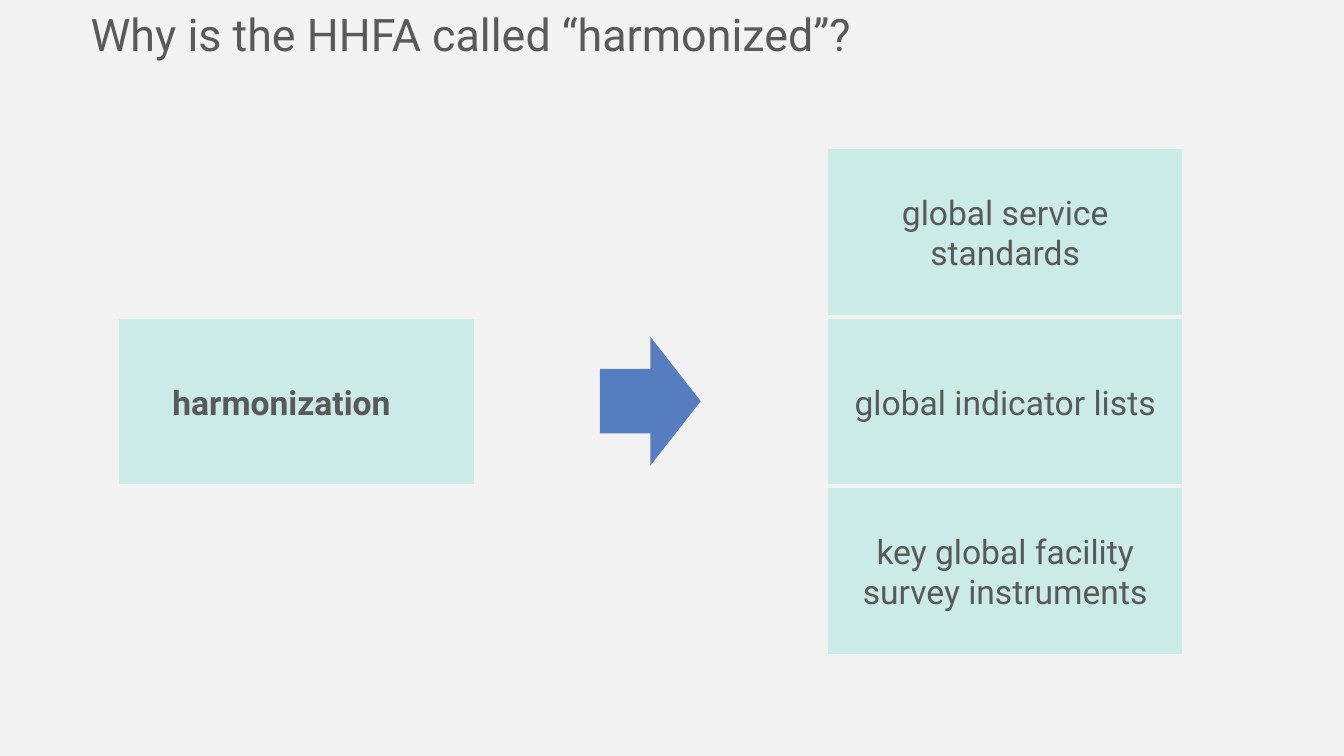
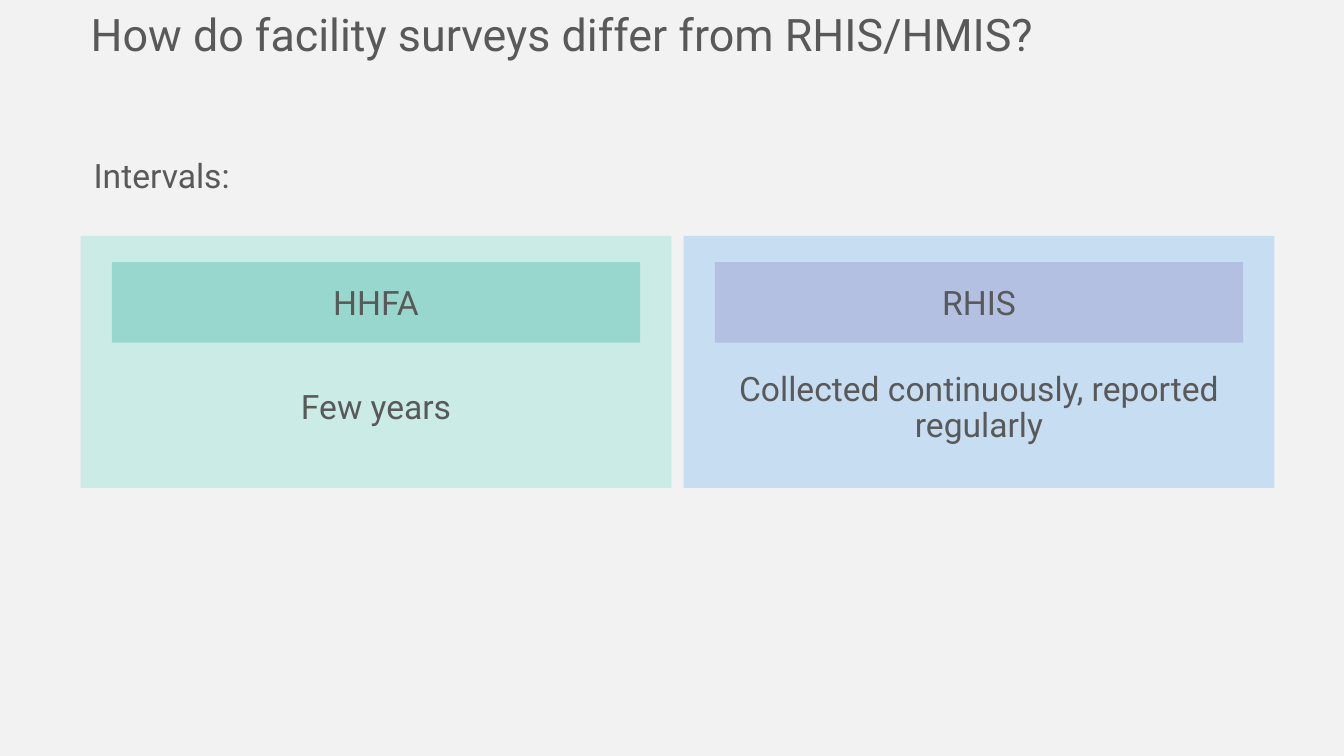
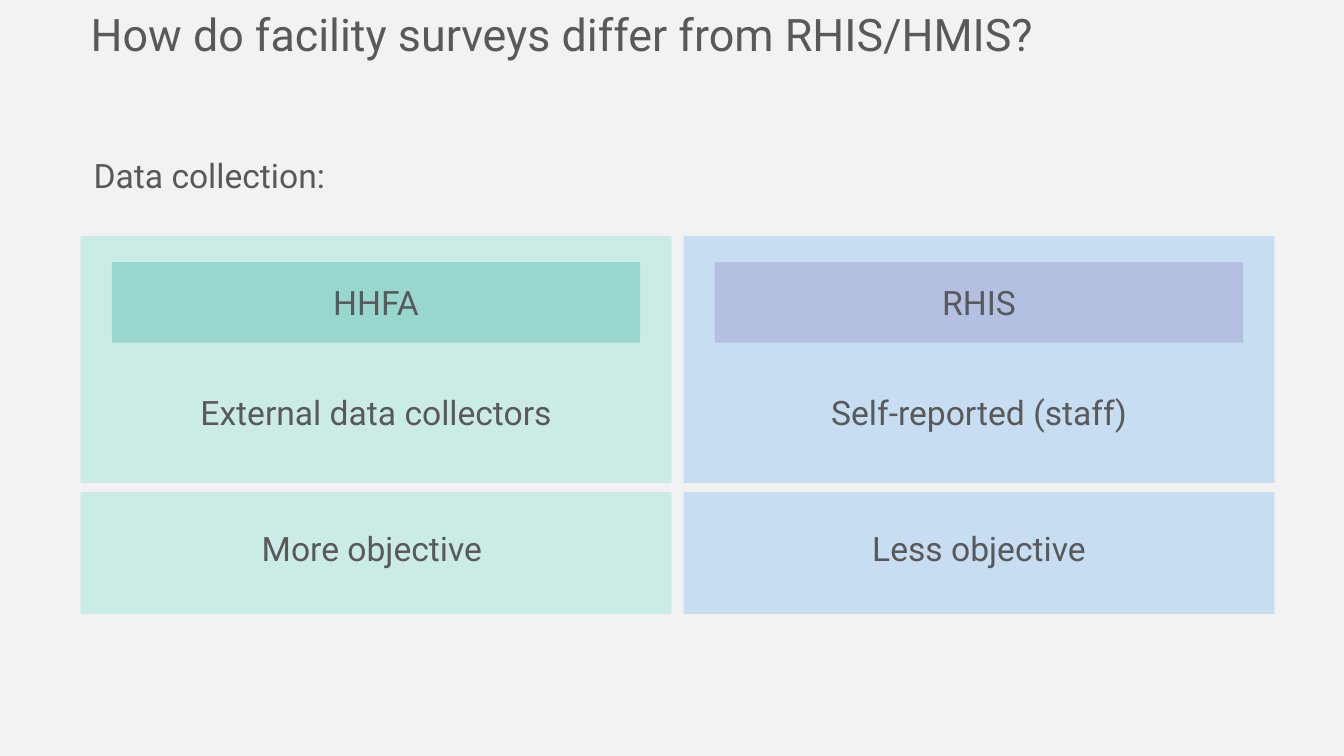
"""Build three slides on the HHFA and how facility surveys differ from RHIS."""
from pptx import Presentation
from pptx.dml.color import RGBColor
from pptx.enum.shapes import MSO_SHAPE
from pptx.enum.text import MSO_ANCHOR, MSO_AUTO_SIZE, PP_ALIGN
from pptx.util import Inches, Pt

FONT = "Roboto"
TEXT, BACKGROUND, ARROW = "595959", "F2F2F2", "557DBF"
MINT, TEAL, SKY, LILAC = "CBEBE6", "98D7CE", "C7DDF1", "B3C0E2"

INSTRUMENTS = ["global service standards", "global indicator lists",
               "key global facility survey instruments"]
BLOCK_WIDTH, BLOCK_HEIGHT, BLOCK_STEP = 3.5, 1.63, 1.68
BLOCK_TOP = 1.49

COLUMNS = [("HHFA", MINT, TEAL), ("RHIS", SKY, LILAC)]
COLUMN_LEFT, COLUMN_STEP, CARD_WIDTH, CARD_TOP = 0.8, 5.98, 5.86, 2.34
HEADER_WIDTH, LABEL_WIDTH = 5.24, 3.98

COMPARISON_TITLE = "How do facility surveys differ from RHIS/HMIS?"


def colour(value):
    return RGBColor.from_string(value)


def write(shape, text, size=24, align=PP_ALIGN.CENTER, anchor=MSO_ANCHOR.MIDDLE,
          bold=False, spacing=None, left=0.1, top=0.05):
    frame = shape.text_frame
    frame.word_wrap = True
    frame.auto_size = MSO_AUTO_SIZE.NONE
    frame.vertical_anchor = anchor
    frame.margin_left, frame.margin_top = Inches(left), Inches(top)
    para = frame.paragraphs[0]
    para.alignment = align
    para.line_spacing = spacing
    span = para.add_run()
    span.text = text
    span.font.name, span.font.size, span.font.bold = FONT, Pt(size), bold
    span.font.color.rgb = colour(TEXT)


def add_block(page, bounds, fill, text="", line=None, kind=MSO_SHAPE.RECTANGLE, **style):
    block = page.shapes.add_shape(kind, *map(Inches, bounds))
    block.shadow.inherit = False
    block.fill.solid()
    block.fill.fore_color.rgb = colour(fill)
    if line:
        block.line.color.rgb = colour(line)
        block.line.width = Pt(1)
    else:
        block.line.fill.background()
    if text:
        write(block, text, **style)


def add_text(page, bounds, text, **style):
    box = page.shapes.add_textbox(*map(Inches, bounds))
    write(box, text, anchor=MSO_ANCHOR.TOP, **style)


def add_page(deck, title):
    page = deck.slides.add_slide(deck.slide_layouts[5])
    write(page.shapes.title, title, size=32, align=PP_ALIGN.LEFT, anchor=MSO_ANCHOR.TOP)
    return page


def add_harmonization(deck):
    page = add_page(deck, "Why is the HHFA called “harmonized”?")
    add_block(page, (5.95, 3.34, 1, 1.28), ARROW, kind=MSO_SHAPE.RIGHT_ARROW)
    for row, text in enumerate(INSTRUMENTS):
        top = BLOCK_TOP + row * BLOCK_STEP
        add_block(page, (8.22, top, BLOCK_WIDTH, BLOCK_HEIGHT), MINT, text, line=MINT)
    add_block(page, (1.19, BLOCK_TOP + BLOCK_STEP, BLOCK_WIDTH, BLOCK_HEIGHT), MINT,
              "harmonization", line=MINT, align=PP_ALIGN.LEFT, bold=True, left=0.52)


def add_comparison(deck, topic, card_height, card_texts=("", ""), labels=(), verdicts=()):
    page = add_page(deck, COMPARISON_TITLE)
    add_text(page, (0.83, 1.53, 11.82, 0.47), topic, align=PP_ALIGN.LEFT, spacing=0.9)
    for index, (name, light, dark) in enumerate(COLUMNS):
        left = COLUMN_LEFT + index * COLUMN_STEP
        middle = left + CARD_WIDTH / 2
        add_block(page, (left, CARD_TOP, CARD_WIDTH, card_height), light,
                  card_texts[index], spacing=0.9, top=0.98)
        add_block(page, (middle - HEADER_WIDTH / 2, 2.6, HEADER_WIDTH, 0.8), dark, name)
        if labels:
            add_text(page, (middle - LABEL_WIDTH / 2, 3.84, LABEL_WIDTH, 0.5), labels[index])
        if verdicts:
            add_block(page, (left, 4.88, CARD_WIDTH, 1.21), light, verdicts[index],
                      spacing=0.9, top=0)


def main():
    deck = Presentation()
    deck.slide_width, deck.slide_height = Inches(13.33), Inches(7.5)
    fill = deck.slide_master.background.fill
    fill.solid()
    fill.fore_color.rgb = colour(BACKGROUND)
    title = deck.slide_layouts[5].placeholders[0]
    title.left, title.top = Inches(0.8), Inches(0.02)
    title.width, title.height = Inches(10.23), Inches(0.64)

    add_harmonization(deck)
    add_comparison(deck, "Intervals:", 2.5,
                   card_texts=["Few years", "Collected continuously, reported regularly"])
    add_comparison(deck, "Data collection:", 2.45,
                   labels=["External data collectors", "Self-reported (staff)"],
                   verdicts=["More objective ", "Less objective"])
    deck.save("out.pptx")


if __name__ == "__main__":
    main()
